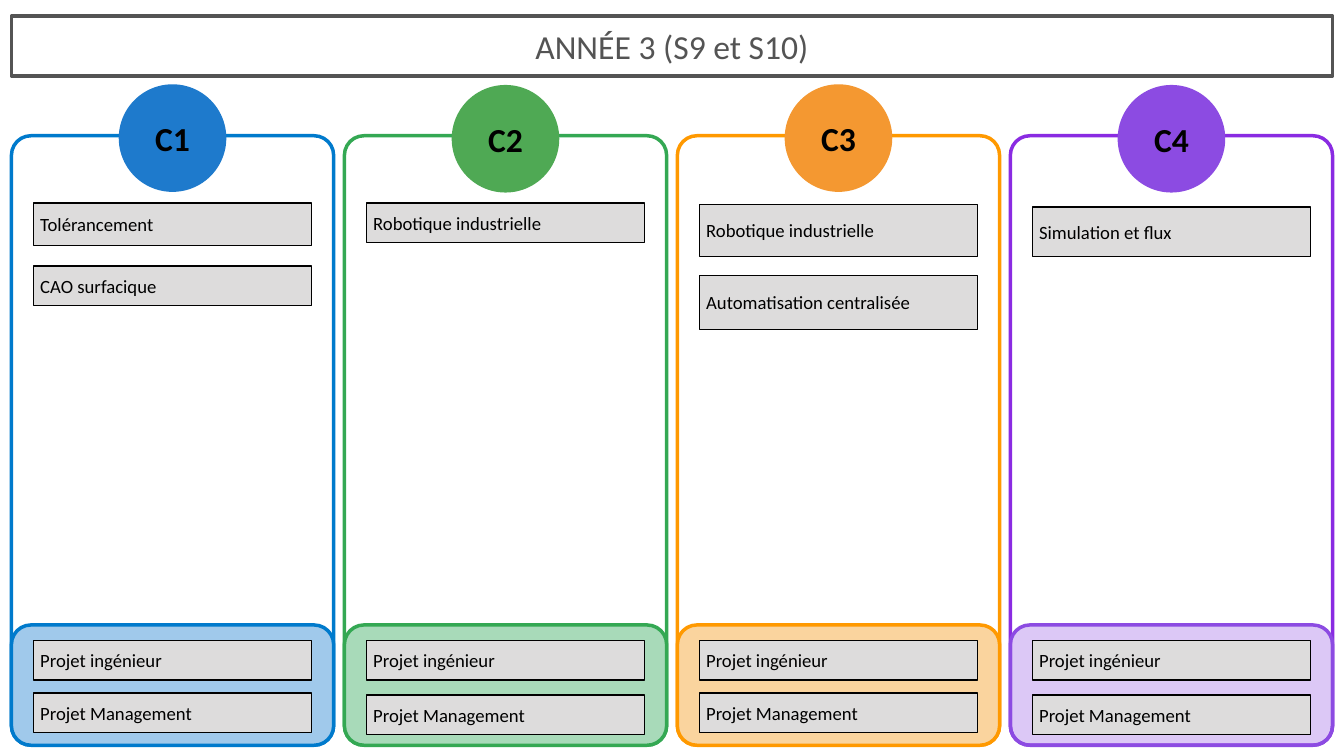
"""Build the year 3 overview slide: four competency columns with their course cards."""
from dataclasses import dataclass

from lxml import etree
from pptx import Presentation
from pptx.dml.color import RGBColor
from pptx.enum.shapes import MSO_SHAPE
from pptx.enum.text import MSO_ANCHOR, MSO_AUTO_SIZE, PP_ALIGN
from pptx.oxml.ns import qn
from pptx.util import Inches, Pt

RECTANGLE = MSO_SHAPE.RECTANGLE
ROUNDED = MSO_SHAPE.ROUNDED_RECTANGLE
OVAL = MSO_SHAPE.OVAL
MIDDLE = MSO_ANCHOR.MIDDLE
NO_AUTOFIT = MSO_AUTO_SIZE.NONE
LEFT = PP_ALIGN.LEFT
CENTER = PP_ALIGN.CENTER


@dataclass(frozen=True)
class Theme:
    font: str = "Calibri"
    heading_size: int = 36
    card_size: int = 20
    heading: str = "545454"
    ink: str = "000000"
    card: str = "DDDCDC"
    frame_line: float = 3.75
    badge_line: float = 2.25
    card_line: float = 1.5
    frames: tuple = ("007ACC", "34A853", "FF9900", "8A2BE2")
    badges: tuple = ("1E7ACC", "4FA954", "F49831", "8C4BE2")
    panels: tuple = ("A0C9EB", "A8DAB9", "FAD49E", "8C4BE2")
    panel_lines: tuple = ("007ACC", "34A853", "FF9900", "8C4BE2")
    panel_opacities: tuple = (100, 100, 100, 30)


theme = Theme()


def add_box(kind, left, top, width, height, fill, line, line_width):
    shape = slide.shapes.add_shape(kind, Inches(left), Inches(top), Inches(width), Inches(height))
    shape.shadow.inherit = False
    if fill:
        shape.fill.solid()
        shape.fill.fore_color.rgb = RGBColor.from_string(fill)
    else:
        shape.fill.background()
    shape.line.color.rgb = RGBColor.from_string(line)
    shape.line.width = Pt(line_width)
    if kind == ROUNDED:
        shape.adjustments[0] = RADIUS / min(width, height)
    return shape


def write(shape, text, size, color, alignment, bold=False):
    frame = shape.text_frame
    frame.text = text
    frame.word_wrap = True
    frame.auto_size = NO_AUTOFIT
    frame.vertical_anchor = MIDDLE
    paragraph = frame.paragraphs[0]
    paragraph.alignment = alignment
    font = paragraph.runs[0].font
    font.name = theme.font
    font.size = Pt(size)
    font.bold = bold
    font.color.rgb = RGBColor.from_string(color)


SLIDE_WIDTH, SLIDE_HEIGHT = 20, 11.25
MARGIN, GAP, RADIUS = 0.17, 0.16, 0.29
CONTENT_WIDTH = SLIDE_WIDTH - 2 * MARGIN
PITCH = (CONTENT_WIDTH + GAP) / 4
COLUMN_WIDTH = PITCH - GAP
FRAME_TOP, PANEL_TOP, BOTTOM = 2.02, 9.3, 11.09
BADGE = 1.57
CARD_INDENT, CARD_WIDTH, CARD_HEIGHT = 0.33, 4.14, 0.59

columns = [
    ("C1", 1.27, 10.31, [("Tolérancement", 3.02, 0.63), ("CAO surfacique", 3.96, CARD_HEIGHT)]),
    ("C2", 1.28, 10.34, [("Robotique industrielle", 3.02, CARD_HEIGHT)]),
    ("C3", 1.27, 10.31, [("Robotique industrielle", 3.04, 0.78), ("Automatisation centralisée", 4.1, 0.8)]),
    ("C4", 1.28, 10.34, [("Simulation et flux", 3.08, 0.74)]),
]

presentation = Presentation()
presentation.slide_width = Inches(SLIDE_WIDTH)
presentation.slide_height = Inches(SLIDE_HEIGHT)
slide = presentation.slides.add_slide(presentation.slide_layouts[5])

title = slide.shapes.title
title.left, title.top = Inches(MARGIN), Inches(0.24)
title.width, title.height = Inches(CONTENT_WIDTH), Inches(0.89)
title.line.color.rgb = RGBColor.from_string(theme.heading)
title.line.width = Pt(theme.frame_line)
write(title, "ANNÉE 3 (S9 et S10)", theme.heading_size, theme.heading, CENTER)

for index, (label, badge_top, management_top, courses) in enumerate(columns):
    left = MARGIN + index * PITCH
    add_box(ROUNDED, left, FRAME_TOP, COLUMN_WIDTH, BOTTOM - FRAME_TOP,
            None, theme.frames[index], theme.frame_line)

    badge = add_box(OVAL, left + (COLUMN_WIDTH - BADGE) / 2, badge_top, BADGE, BADGE,
                    theme.badges[index], theme.badges[index], theme.badge_line)
    write(badge, label, theme.heading_size, theme.ink, CENTER, bold=True)
    badge_frame = badge.text_frame
    badge_frame.margin_left = badge_frame.margin_right = 0
    badge_frame.margin_top = badge_frame.margin_bottom = 0

    panel = add_box(ROUNDED, left, PANEL_TOP, COLUMN_WIDTH, BOTTOM - PANEL_TOP,
                    theme.panels[index], theme.panel_lines[index], theme.frame_line)
    opacity = theme.panel_opacities[index]
    if opacity < 100:
        color = panel.element.spPr.find(qn("a:solidFill")).find(qn("a:srgbClr"))
        etree.SubElement(color, qn("a:alpha")).set("val", str(opacity * 1000))

    projects = [("Projet ingénieur", 9.53, CARD_HEIGHT), ("Projet Management", management_top, CARD_HEIGHT)]
    for text, top, height in courses + projects:
        card = add_box(RECTANGLE, left + CARD_INDENT, top, CARD_WIDTH, height,
                       theme.card, theme.ink, theme.card_line)
        write(card, text, theme.card_size, theme.ink, LEFT)

presentation.save("out.pptx")
